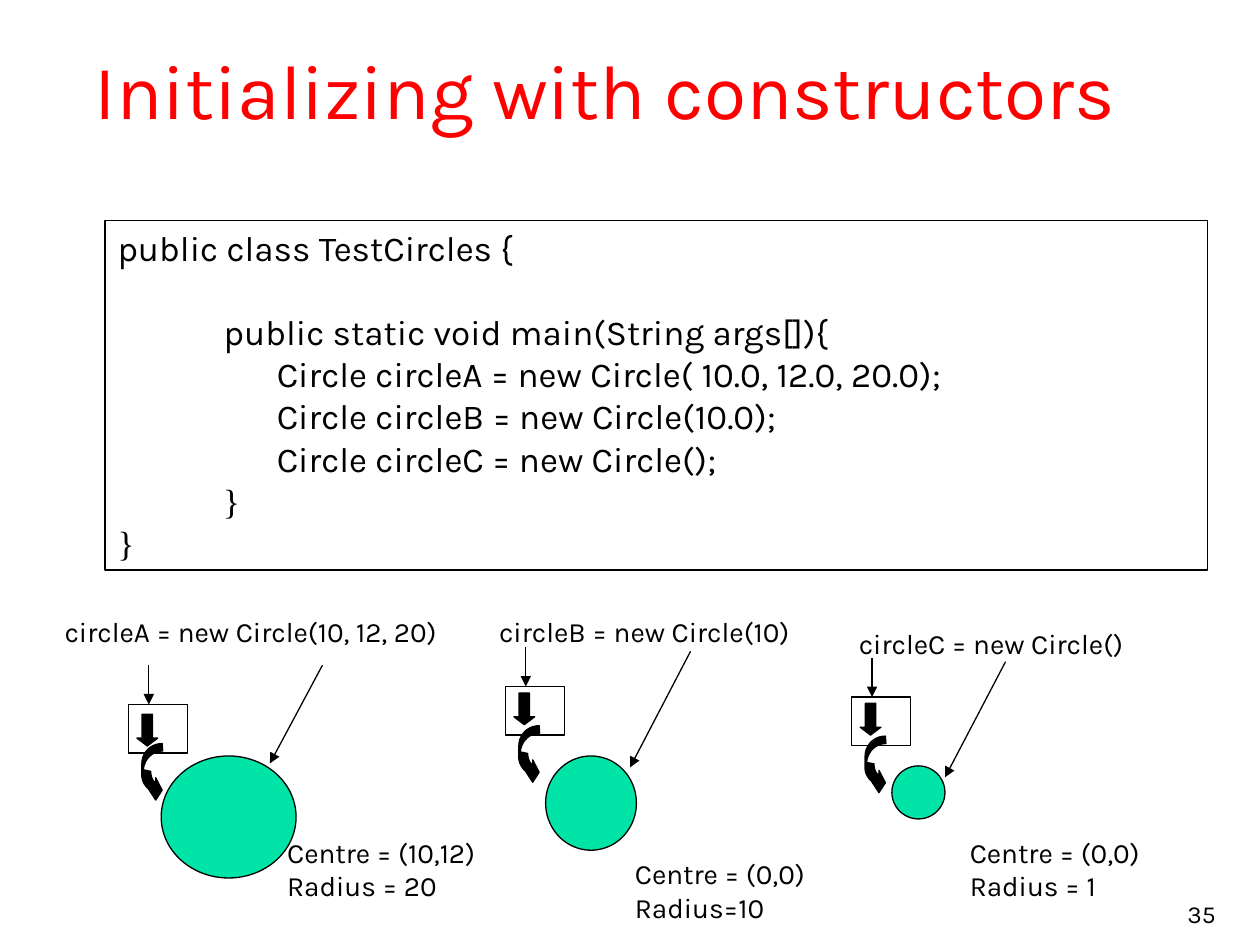
import pptx
import pptx.util
import pptx.dml.color
import pptx.enum.shapes
import pptx.enum.text
import pptx.oxml.ns
import lxml.etree

Cm = pptx.util.Cm
KIND = pptx.enum.shapes.MSO_SHAPE
ALIGN = pptx.enum.text.PP_ALIGN
SIDE = pptx.enum.text.MSO_ANCHOR

THEME = {
    "font": "Karla", "brace": "Times New Roman",
    "ink": "000000", "title": "FF0000", "paper": "FFFFFF", "disk": "00E4A8",
    "head": 44, "code": 20, "label": 16, "page": 14, "line": 0.75,
}

TITLE = "Initializing with constructors"
PAGE = "35"
CODE = [
    ("public class TestCircles {", "font", 0),
    ("\t\tpublic static void main(String args[]){", "font", 24),
    ("\t\t\tCircle circleA = new Circle( 10.0, 12.0, 20.0);", "font", 0),
    ("\t\t\tCircle circleB = new Circle(10.0);", "font", 0),
    ("\t\t\tCircle circleC = new Circle();", "font", 0),
    ("\t      }", "brace", 0),
    ("}", "brace", 0),
]
TAB = 1.07

CIRCLES = [
    {"label": "circleA = new Circle(10, 12, 20)", "name": (0.84, 12.27, 8.43, 0.94),
     "note": ["Centre = (10,12)", "Radius = 20"], "facts": (5.54, 16.71, 4.67, 1.63),
     "cell": (2.59, 14.2), "drop": 0.2, "disk": (3.25, 15.24, 2.72, 2.46),
     "ray": (6.5, 13.41, 5.44, 15.39)},
    {"label": "circleB = new Circle(10)", "name": (9.7, 12.27, 6.58, 0.94),
     "note": ["Centre = (0,0)", "Radius=10"], "facts": (12.55, 17.15, 4.01, 1.63),
     "cell": (10.19, 13.84), "drop": 0.13, "disk": (11, 15.24, 1.83, 1.9),
     "ray": (13.92, 13.13, 12.7, 15.47)},
    {"label": "circleC = new Circle()", "name": (17.02, 12.5, 5.92, 0.94),
     "note": ["Centre = (0,0)", "Radius = 1"], "facts": (19.3, 16.71, 4.01, 1.63),
     "cell": (17.17, 14.05), "drop": 0.13, "disk": (17.98, 15.44, 1.07, 1.07),
     "ray": (20.27, 13.34, 19.05, 15.67)},
]

HOOK = [
    [(0.41, 0), (0.18, 0), (0, 0.18), (0, 0.41)],
    [(0, 0.64), (0, 0.74), (0.05, 0.84), (0.13, 0.91)],
    [(0.28, 1.14)], [(0.41, 0.94)], [(0.28, 0.69)],
    [(0.28, 0.79), (0.2, 0.74), (0.18, 0.64), (0.18, 0.56)],
    [(0.03, 0.53), (0.05, 0.3), (0.23, 0.15), (0.42, 0.15)],
]
STEPS = 10


def color(key):
    return pptx.dml.color.RGBColor.from_string(THEME[key])


def tag(name):
    return pptx.oxml.ns.qn(name)


def style(shape, fill, edge=True):
    shape.shadow.inherit = False
    if fill:
        shape.fill.solid()
        shape.fill.fore_color.rgb = color(fill)
    else:
        shape.fill.background()
    if edge:
        shape.line.color.rgb = color("ink")
        shape.line.width = pptx.util.Pt(THEME["line"])
    else:
        shape.line.fill.background()


def draw(slide, kind, box, fill, edge=True):
    shape = slide.shapes.add_shape(kind, *map(Cm, box))
    style(shape, fill, edge)
    return shape


def format(para, size, font="font", ink="ink", align=ALIGN.LEFT):
    para.alignment = align
    para.font.size = pptx.util.Pt(THEME[size])
    para.font.name = THEME[font]
    para.font.color.rgb = color(ink)


def write(slide, box, lines, size, align=ALIGN.LEFT, wrap=False, anchor=SIDE.TOP):
    frame = slide.shapes.add_textbox(*map(Cm, box)).text_frame
    frame.word_wrap = wrap
    frame.vertical_anchor = anchor
    frame.text = "\n".join(lines)
    for para in frame.paragraphs:
        format(para, size, align=align)


def point(slide, ends):
    line = slide.shapes.add_connector(
        pptx.enum.shapes.MSO_CONNECTOR.STRAIGHT, *map(Cm, ends))
    line.line.color.rgb = color("ink")
    line.line.width = pptx.util.Pt(THEME["line"])
    props = line._element.spPr
    lxml.etree.SubElement(props.find(tag("a:ln")), tag("a:tailEnd"), type="triangle")
    lxml.etree.SubElement(props, tag("a:effectLst"))


def curve(a, b, c, d):
    for step in range(STEPS + 1):
        t = step / STEPS
        u = 1 - t
        yield tuple(u**3 * p + 3 * u * u * t * q + 3 * u * t * t * r + t**3 * s
                    for p, q, r, s in zip(a, b, c, d))


def hook(slide, left, top):
    dots = [dot for part in HOOK for dot in (curve(*part) if len(part) == 4 else part)]
    dots = [(Cm(left + x), Cm(top + y)) for x, y in dots]
    form = slide.shapes.build_freeform(*dots[0])
    form.add_line_segments(dots[1:], close=True)
    style(form.convert_to_shape(), "ink")


def listing(slide):
    frame = draw(slide, KIND.RECTANGLE, (2.12, 4.45, 22.22, 7.04), None).text_frame
    frame.word_wrap = True
    frame.vertical_anchor = SIDE.TOP
    frame.text = "\n".join(text for text, font, gap in CODE)
    for para, (text, font, gap) in zip(frame.paragraphs, CODE):
        if gap:
            para.space_before = pptx.util.Pt(gap)
        tabs = lxml.etree.SubElement(para._p.get_or_add_pPr(), tag("a:tabLst"))
        for stop in range(1, 8):
            lxml.etree.SubElement(tabs, tag("a:tab"), pos=str(Cm(stop * TAB)), algn="l")
        format(para, "code", font)


def circle(slide, item):
    left, top = item["cell"]
    draw(slide, KIND.RECTANGLE, (left, top, 1.19, 0.98), "paper")
    hook(slide, left + 0.27, top + 0.79)
    draw(slide, KIND.OVAL, item["disk"], "disk")
    point(slide, (left + 0.41, top - 0.79, left + 0.41, top))
    point(slide, item["ray"])
    write(slide, item["name"], [item["label"]], "label", ALIGN.CENTER)
    write(slide, item["facts"], item["note"], "label")
    arrow = draw(slide, KIND.DOWN_ARROW, (left + 0.17, top + item["drop"], 0.42, 0.64), "ink")
    arrow.adjustments[0] = 0.5
    arrow.adjustments[1] = 0.38


def main():
    deck = pptx.Presentation()
    deck.slide_width, deck.slide_height = Cm(25.4), Cm(19.05)
    slide = deck.slides.add_slide(deck.slide_layouts[6])
    write(slide, (19.47, 17.57, 5.29, 1.27), [PAGE], "page", ALIGN.RIGHT, True, SIDE.BOTTOM)
    title = draw(slide, KIND.RECTANGLE, (0, 0.42, 24.43, 2.75), "paper", False).text_frame
    title.text = TITLE
    format(title.paragraphs[0], "head", ink="title", align=ALIGN.CENTER)
    listing(slide)
    for item in CIRCLES:
        circle(slide, item)
    deck.save("out.pptx")


if __name__ == "__main__":
    main()
